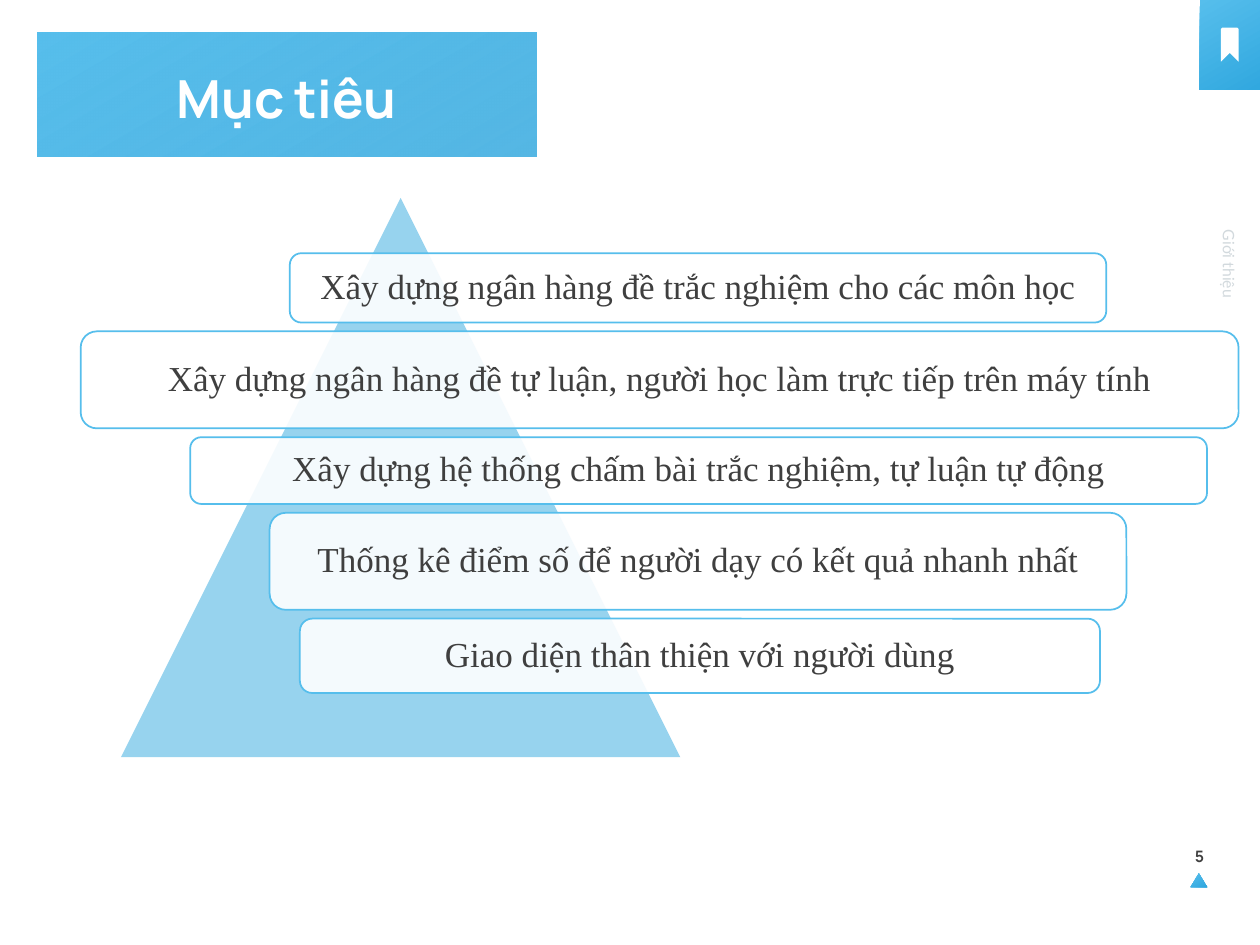
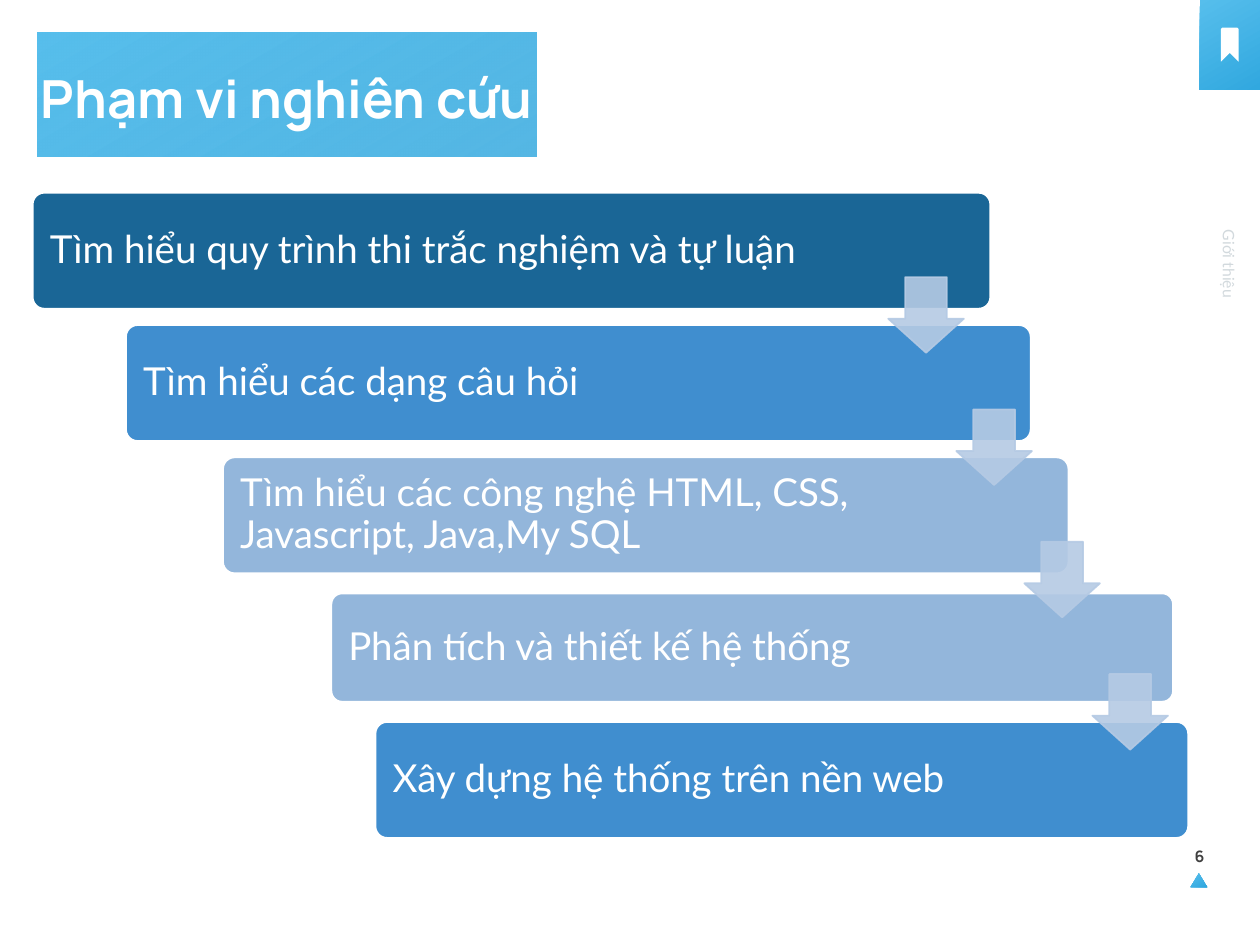
"""Build two slides of a thesis introduction: its goals and its research scope."""
from dataclasses import dataclass
from typing import Any, NamedTuple, Optional

from lxml.etree import SubElement
from pptx import Presentation
from pptx.dml.color import RGBColor as Rgb
from pptx.enum.shapes import MSO_SHAPE as Preset
from pptx.enum.text import MSO_ANCHOR as Anchor, MSO_AUTO_SIZE as AutoSize, PP_ALIGN as Align
from pptx.oxml.ns import qn
from pptx.util import Inches, Pt


class Box(NamedTuple):
    left: float
    top: float
    width: float
    height: float

    def emu(self) -> list[Inches]:
        return [Inches(value) for value in self]


@dataclass(frozen=True)
class TextStyle:
    size: float
    font: str
    colour: Rgb
    bold: bool = False
    align: Align = Align.CENTER
    spacing: float = 1.0


WHITE, INK = Rgb.from_string("FFFFFF"), Rgb.from_string("3F3F3F")


@dataclass(frozen=True)
class Theme:
    sky: Rgb = Rgb.from_string("56BEEC")
    azure: Rgb = Rgb.from_string("31A8DF")
    navy: Rgb = Rgb.from_string("1A6696")
    blue: Rgb = Rgb.from_string("408ECF")
    mist: Rgb = Rgb.from_string("93B6DB")
    arrow: Rgb = Rgb.from_string("B5CAE4")
    title: TextStyle = TextStyle(30, "Manrope", WHITE, bold=True)
    page: TextStyle = TextStyle(9, "Manrope", INK, bold=True)
    section: TextStyle = TextStyle(9, "Lato", Rgb.from_string("D2D9DD"))
    goal: TextStyle = TextStyle(20, "Times New Roman", INK, spacing=0.9)
    step: TextStyle = TextStyle(22, "Lato", WHITE, align=Align.LEFT, spacing=0.9)


class Goal(NamedTuple):
    text: str
    left: float
    width: float
    height: float


class Step(NamedTuple):
    text: str
    left: float
    width: float
    height: float
    colour: Rgb


THEME = Theme()
SECTION = "Giới thiệu"
BOOKMARK = [(9.83, 0.49), (9.83, 0.23), (9.82, 0.22), (9.7, 0.22), (9.69, 0.23),
            (9.69, 0.49), (9.76, 0.42)]

GOALS_TOP, GOAL_GAP = 2.01, 0.07
GOALS = [
    Goal("Xây dựng ngân hàng đề trắc nghiệm cho các môn học", 2.3, 6.48, 0.55),
    Goal("Xây dựng ngân hàng đề tự luận, người học làm trực tiếp trên máy tính", 0.64, 9.19, 0.77),
    Goal("Xây dựng hệ thống chấm bài trắc nghiệm, tự luận tự động", 1.51, 8.07, 0.53),
    Goal("Thống kê điểm số để người dạy có kết quả nhanh nhất", 2.14, 6.8, 0.77),
    Goal("Giao diện thân thiện với người dùng", 2.38, 6.35, 0.59),
]

FIRST_STEP_MIDDLE, STEP_PITCH, ARROW_SHIFT = 1.99, 1.05, 0.54
FIRST_ARROW = Box(7.05, 2.2, 0.6, 0.6)
STEPS = [
    Step("Tìm hiểu quy trình thi trắc nghiệm và tự luận", 0.26, 7.6, 0.92, THEME.navy),
    Step("Tìm hiểu các dạng câu hỏi", 1, 7.18, 0.92, THEME.blue),
    Step("Tìm hiểu các công nghệ HTML, CSS, Javascript, Java,My SQL", 1.77, 6.71, 0.92, THEME.mist),
    Step("Phân tích và thiết kế hệ thống", 2.63, 6.68, 0.86, THEME.mist),
    Step("Xây dựng hệ thống trên nền web", 2.98, 6.45, 0.92, THEME.blue),
]


def apply_format(target: Any, values: dict[str, Any]) -> None:
    for name, value in values.items():
        setattr(target, name, value)


def fade(shape: Any, opacity: int) -> None:
    """Set the opacity, in percent, of the last colour given to a shape."""
    colour = list(shape._element.spPr.iter(qn("a:srgbClr")))[-1]
    SubElement(colour, qn("a:alpha")).set("val", str(opacity * 1000))


def write(holder: Any, text: str, style: TextStyle, **frame_format: Any) -> None:
    frame = holder.text_frame
    frame.text = text
    apply_format(frame, {"word_wrap": True, **frame_format})
    paragraph = frame.paragraphs[0]
    apply_format(paragraph, {"alignment": style.align, "line_spacing": style.spacing})
    font = paragraph.runs[0].font
    apply_format(font, {"size": Pt(style.size), "name": style.font, "bold": style.bold})
    font.color.rgb = style.colour


def add_preset(slide: Any, preset: Preset, box: Box, fill: Optional[Rgb] = None,
               line: Optional[Rgb] = None, opacity: int = 100) -> Any:
    """Add a shape filled with one colour, or with the shared gradient when none is given."""
    shape = slide.shapes.add_shape(preset, *box.emu())
    shape.shadow.inherit = False
    if fill is None:
        shape.fill.gradient()
        shape.fill.gradient_angle = 300
        for stop, colour in zip(shape.fill.gradient_stops, (THEME.sky, THEME.azure)):
            stop.color.rgb = colour
    else:
        shape.fill.solid()
        shape.fill.fore_color.rgb = fill
    if opacity < 100:
        fade(shape, opacity)
    if line is None:
        shape.line.fill.background()
    else:
        shape.line.color.rgb = line
        shape.line.width = Pt(1)
    return shape


def add_label(slide: Any, box: Box, text: str, style: TextStyle, rotation: float = 0) -> None:
    label = slide.shapes.add_textbox(*box.emu())
    label.rotation = rotation
    write(label, text, style, auto_size=AutoSize.SHAPE_TO_FIT_TEXT)


def add_bookmark(slide: Any) -> None:
    start, *corners = [(Inches(x), Inches(y)) for x, y in BOOKMARK]
    builder = slide.shapes.build_freeform(*start)
    builder.add_line_segments(corners, close=True)
    bookmark = builder.convert_to_shape()
    bookmark.shadow.inherit = False
    bookmark.fill.solid()
    bookmark.fill.fore_color.rgb = WHITE
    bookmark.line.fill.background()


def add_page(deck: Any, title_text: str, number: int) -> Any:
    """Add a slide with its title band, bookmark tab, section name and page number."""
    slide = deck.slides.add_slide(deck.slide_layouts[5])
    title = slide.shapes.title
    band = add_preset(slide, Preset.RECTANGLE, Box(0.3, 0.26, 3.96, 0.98), opacity=82)
    title._element.addprevious(band._element)
    place = Box(-0.22, 0.12, 4.99, 1.31).emu()
    apply_format(title, dict(zip(("left", "top", "width", "height"), place)))
    write(title, title_text, THEME.title, vertical_anchor=Anchor.MIDDLE, auto_size=AutoSize.NONE)
    add_preset(slide, Preset.ISOSCELES_TRIANGLE, Box(9.45, 6.93, 0.13, 0.11))
    add_label(slide, Box(9.32, 6.67, 0.4, 0.25), str(number), THEME.page)
    add_preset(slide, Preset.RECTANGLE, Box(9.52, 0, 0.48, 0.71))
    add_label(slide, Box(8.49, 1.97, 2.53, 0.25), SECTION, THEME.section, rotation=90)
    add_bookmark(slide)
    return slide


def add_goals(slide: Any) -> None:
    add_preset(slide, Preset.ISOSCELES_TRIANGLE, Box(0.96, 1.57, 4.44, 4.44), THEME.azure, opacity=50)
    top = GOALS_TOP
    for goal in GOALS:
        card = add_preset(slide, Preset.ROUNDED_RECTANGLE,
                          Box(goal.left, top, goal.width, goal.height), WHITE, THEME.sky, 90)
        write(card, goal.text, THEME.goal, vertical_anchor=Anchor.MIDDLE)
        top += goal.height + GOAL_GAP


def add_steps(slide: Any) -> None:
    for row, step in enumerate(STEPS):
        top = FIRST_STEP_MIDDLE + row * STEP_PITCH - step.height / 2
        bar = add_preset(slide, Preset.ROUNDED_RECTANGLE,
                         Box(step.left, top, step.width, step.height), step.colour, WHITE)
        bar.adjustments[0] = 0.1
        write(bar, step.text, THEME.step, vertical_anchor=Anchor.MIDDLE,
              margin_left=Inches(0.11), margin_right=Inches(1.18))
    for row in range(len(STEPS) - 1):
        place = FIRST_ARROW._replace(left=FIRST_ARROW.left + row * ARROW_SHIFT,
                                     top=FIRST_ARROW.top + row * STEP_PITCH)
        arrow = add_preset(slide, Preset.DOWN_ARROW, place, THEME.arrow, THEME.arrow, 90)
        fade(arrow, 90)
        arrow.adjustments[0], arrow.adjustments[1] = 0.55, 0.45


def main() -> None:
    deck = Presentation()
    apply_format(deck, {"slide_width": Inches(10), "slide_height": Inches(7.5)})
    add_goals(add_page(deck, "Mục tiêu", 5))
    add_steps(add_page(deck, "Phạm vi nghiên cứu", 6))
    deck.save("out.pptx")


if __name__ == "__main__":
    main()
